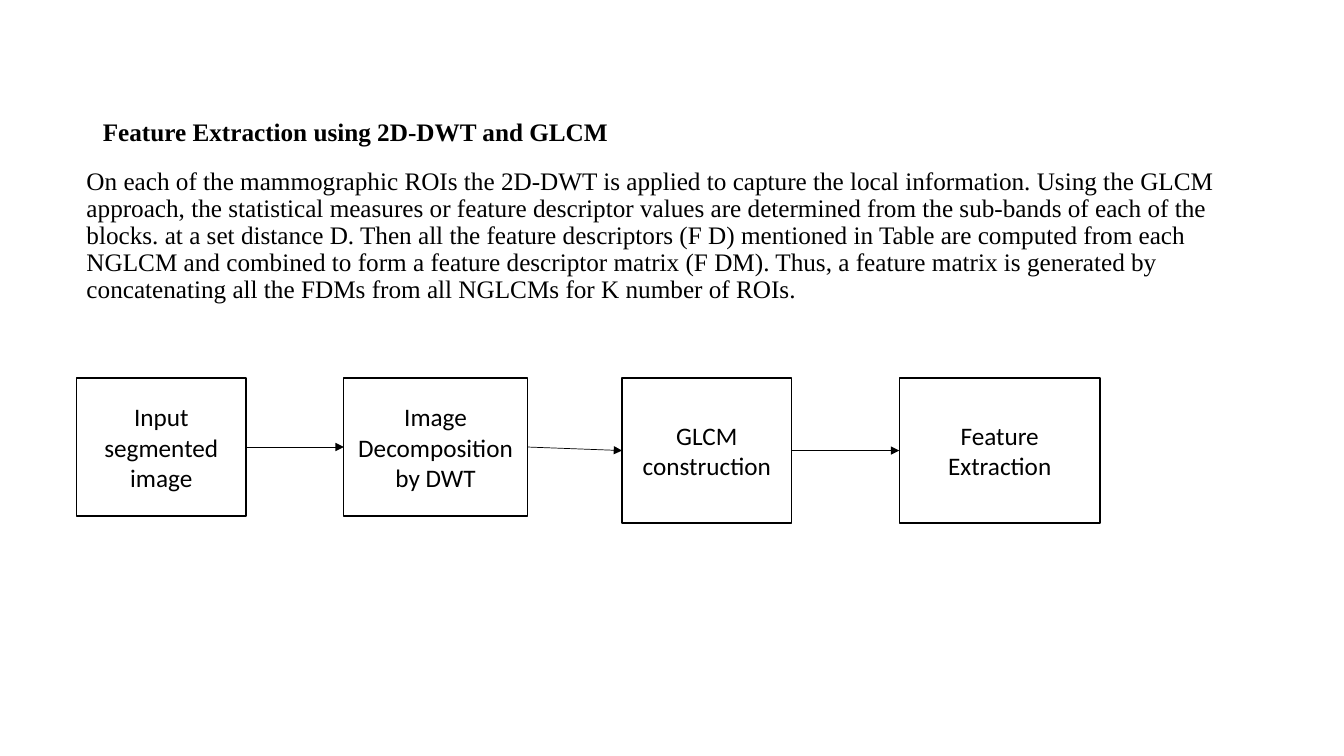
"""Builds a slide on feature extraction with a four-step flow of boxes."""
from itertools import pairwise

from lxml.etree import SubElement
from pptx import Presentation
from pptx.dml.color import RGBColor
from pptx.enum.shapes import MSO_CONNECTOR, MSO_SHAPE
from pptx.enum.text import MSO_ANCHOR, MSO_AUTO_SIZE, PP_ALIGN
from pptx.oxml.ns import qn
from pptx.util import Inches, Pt

HEADING = "Feature Extraction using 2D-DWT and GLCM"
EXPLANATION = (
    "On each of the mammographic ROIs the 2D-DWT is applied to capture the local "
    "information. Using the GLCM approach, the statistical measures or feature "
    "descriptor values are determined from the sub-bands of each of the blocks. "
    "at a set distance D. Then all the feature descriptors (F D) mentioned in Table "
    "are computed from each NGLCM and combined to form a feature descriptor matrix "
    "(F DM). Thus, a feature matrix is generated by concatenating all the FDMs from "
    "all NGLCMs for K number of ROIs."
)
STEPS = [
    ("Input segmented image", 0.76, 1.68, 1.37),
    ("Image Decomposition by DWT", 3.41, 1.82, 1.37),
    ("GLCM construction", 6.17, 1.68, 1.44),
    ("Feature Extraction", 8.92, 1.99, 1.44),
]

BLACK = RGBColor(0, 0, 0)
WHITE = RGBColor(255, 255, 255)
SERIF, SANS = "Times New Roman", "Calibri"
WIDTH, HEIGHT = 13.33, 7.5
TEXT_WIDTH = 11.5
FLOW_TOP = HEIGHT / 2
RIGHT_SIDE, LEFT_SIDE = 3, 1


def write(frame, words, font_name, align, anchor, spacing=1.0, bold=False):
    """Put one paragraph of 18 point text into a frame."""
    frame.word_wrap = True
    frame.auto_size = MSO_AUTO_SIZE.NONE
    frame.vertical_anchor = anchor
    paragraph = frame.paragraphs[0]
    paragraph.alignment = align
    paragraph.line_spacing = spacing
    run = paragraph.add_run()
    run.text = words
    run.font.name, run.font.size, run.font.bold = font_name, Pt(18), bold
    run.font.color.rgb = BLACK


def add_step(slide, label, left, width, height):
    """Draw one box of the flow."""
    step = slide.shapes.add_shape(
        MSO_SHAPE.RECTANGLE, Inches(left), Inches(FLOW_TOP), Inches(width), Inches(height))
    step.shadow.inherit = False
    step.fill.solid()
    step.fill.fore_color.rgb = WHITE
    step.line.color.rgb = BLACK
    step.line.width = Pt(1)
    write(step.text_frame, label, SANS, PP_ALIGN.CENTER, MSO_ANCHOR.MIDDLE)
    return step


def add_arrow(slide, source, target):
    """Join two neighbouring boxes with an arrow."""
    arrow = slide.shapes.add_connector(MSO_CONNECTOR.STRAIGHT, 0, 0, 0, 0)
    arrow.begin_connect(source, RIGHT_SIDE)
    arrow.end_connect(target, LEFT_SIDE)
    arrow.line.color.rgb = BLACK
    arrow.line.width = Pt(0.5)
    SubElement(arrow.line._get_or_add_ln(), qn("a:tailEnd"), type="triangle")
    SubElement(arrow._element.spPr, qn("a:effectLst"))


def main():
    """Build and save the slide."""
    deck = Presentation()
    deck.slide_width, deck.slide_height = Inches(WIDTH), Inches(HEIGHT)
    slide = deck.slides.add_slide(deck.slide_layouts[5])

    heading = slide.shapes.title
    heading.left, heading.top = Inches(0.92), Inches(0.4)
    heading.width, heading.height = Inches(TEXT_WIDTH), Inches(2.11)
    heading.text_frame.margin_bottom = Inches(0.31)
    write(heading.text_frame, HEADING, SERIF, PP_ALIGN.LEFT, MSO_ANCHOR.MIDDLE, 0.9, True)

    explanation = slide.shapes.add_textbox(
        Inches(0.76), Inches(1.62), Inches(TEXT_WIDTH), Inches(FLOW_TOP - 1.62))
    write(explanation.text_frame, EXPLANATION, SERIF, PP_ALIGN.LEFT, MSO_ANCHOR.TOP, 0.9)

    boxes = [add_step(slide, *step) for step in STEPS]
    for source, target in pairwise(boxes):
        add_arrow(slide, source, target)

    deck.save("out.pptx")


if __name__ == "__main__":
    main()
